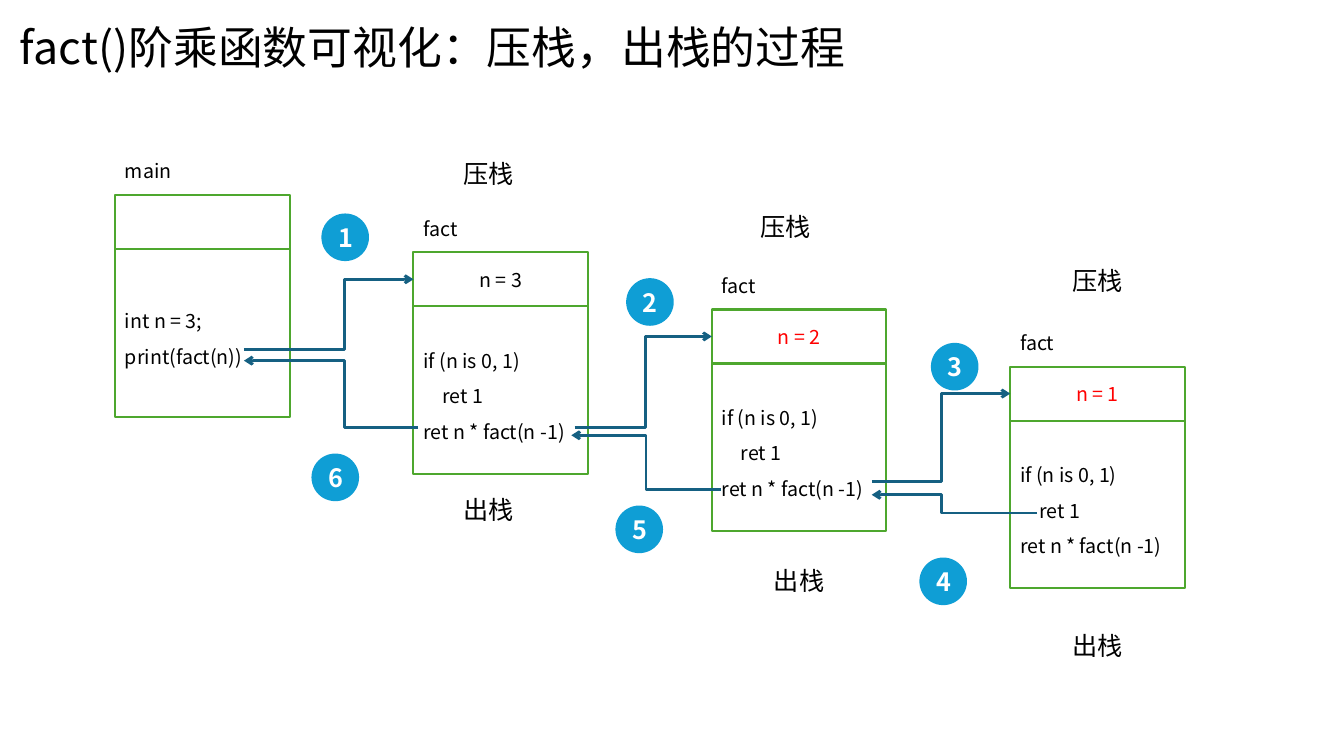
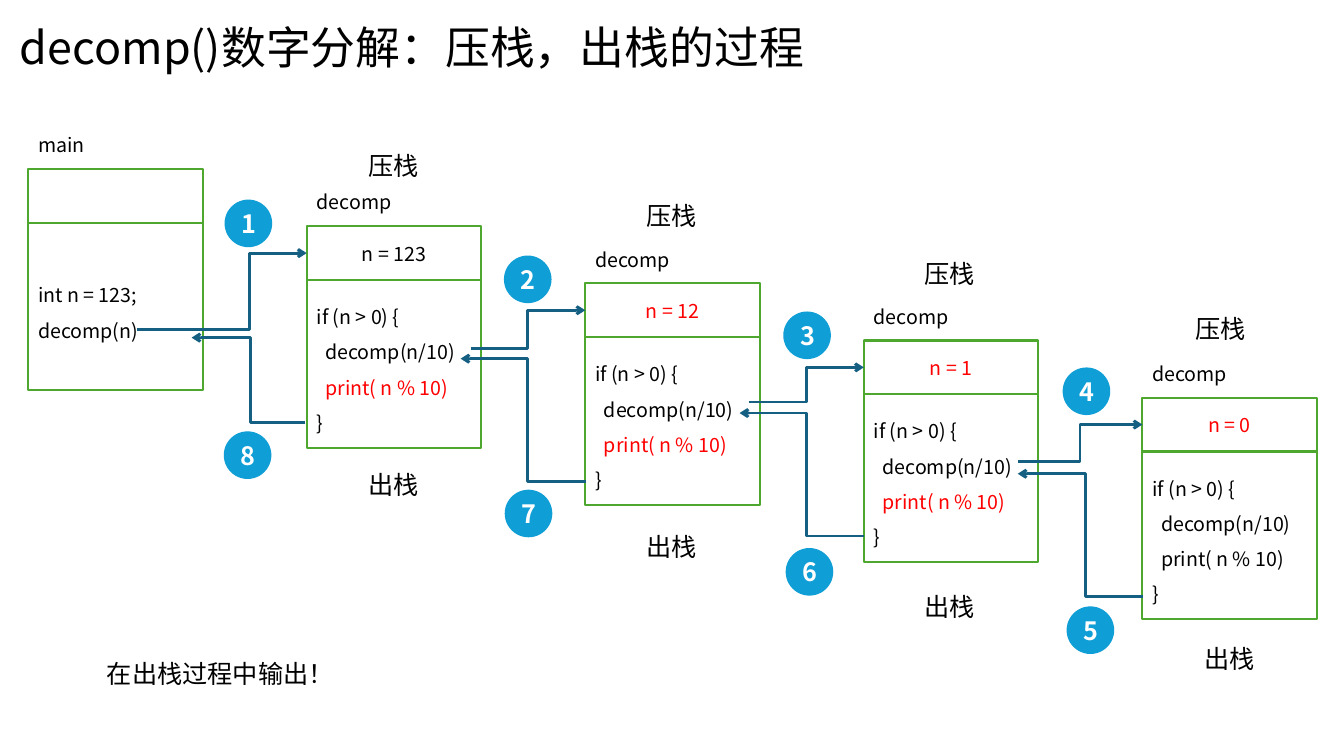
from lxml import etree
from pptx import Presentation
from pptx.dml.color import RGBColor
from pptx.enum.shapes import MSO_CONNECTOR, MSO_SHAPE
from pptx.enum.text import MSO_ANCHOR, MSO_AUTO_SIZE, PP_ALIGN
from pptx.oxml.ns import qn
from pptx.util import Cm, Pt

ELBOW = MSO_CONNECTOR.ELBOW
RECT, OVAL = MSO_SHAPE.RECTANGLE, MSO_SHAPE.OVAL
TOP, MIDDLE = MSO_ANCHOR.TOP, MSO_ANCHOR.MIDDLE
LEFT, CENTER = PP_ALIGN.LEFT, PP_ALIGN.CENTER

FONT = "Noto Sans CJK SC"
COLORS = {
    "text": "000000",
    "changed": "FF0000",
    "paper": "FFFFFF",
    "frame": "4EA72E",
    "link": "156082",
    "badge": "0F9ED5",
}

# All lengths are in centimetres.
FRAME_W, HEADER_H, BODY_H = 4.4, 1.36, 4.22
FRAME_DROP = 1.44
LABEL_RISE, LABEL_H = 1.03, 0.86
WORD_W, WORD_H = 2.4, 1.02
BADGE = 1.2

# A line of code: indent, text, colour.
FACT_CODE = [
    (0, "if (n is 0, 1)", "text"),
    (0.48, "ret 1", "text"),
    (0, "ret n * fact(n -1)", "text"),
]
DECOMP_END = [
    (0, "if (n > 0) {", "text"),
    (0.22, "decomp(n/10)", "text"),
    (0.22, "print( n % 10)", "text"),
    (0, "}", "text"),
]
DECOMP_CODE = [(indent, line, "changed" if "print" in line else color)
               for indent, line, color in DECOMP_END]

# frames: name, argument, argument colour, code
# pushes: start x, start y, bend x (each ends at the next frame's header)
# pops: start x, start y, bend x, end x, end y
# words: centre x, top
# badges: left, top, step right, step down
STACKS = [
    {
        "title": "fact()阶乘函数可视化：压栈，出栈的过程",
        "origin": (2.9, 4.92),
        "frame_step": 7.52,
        "frames": [
            ("main", "", "text", [(0, "int n = 3;", "text"), (0, "print(fact(n))", "text")]),
            ("fact", "n = 3", "text", FACT_CODE),
            ("fact", "n = 2", "changed", FACT_CODE),
            ("fact", "n = 1", "changed", FACT_CODE),
        ],
        "pushes": [(6.15, 8.81, 8.69), (14.48, 10.77, 16.26), (21.97, 12.14, 23.72)],
        "pops": [
            (10.54, 10.77, 8.69, 6.15, 9.09),
            (18.16, 12.34, 16.28, 14.4, 10.97),
            (26.14, 12.93, 23.72, 21.97, 12.47),
        ],
        "push_words": [(12.32, 3.86), (19.79, 5.21), (27.66, 6.55)],
        "pop_words": [(12.32, 12.34), (20.14, 14.12), (27.66, 15.75)],
        "push_badges": (8.1, 5.38, 7.68, 1.63),
        "pop_badges": (7.85, 11.43, 7.66, 1.31),
        "remark": "",
    },
    {
        "title": "decomp()数字分解：压栈，出栈的过程",
        "origin": (0.71, 4.26),
        "frame_step": 7.02,
        "frames": [
            ("main", "", "text", [(0, "int n = 123;", "text"), (0, "decomp(n)", "text")]),
            ("decomp", "n = 123", "text", DECOMP_CODE),
            ("decomp", "n = 12", "changed", DECOMP_CODE),
            ("decomp", "n = 1", "changed", DECOMP_CODE),
            ("decomp", "n = 0", "changed", DECOMP_END),
        ],
        "pushes": [
            (3.45, 8.31, 6.28),
            (11.86, 8.79, 13.3),
            (18.87, 10.13, 20.32),
            (25.65, 11.63, 27.22),
        ],
        "pops": [
            (7.7, 10.64, 6.32, 4.83, 8.51),
            (14.76, 12.14, 13.3, 11.61, 9.04),
            (21.77, 13.51, 20.32, 18.64, 10.41),
            (28.8, 15.04, 27.36, 25.65, 11.94),
        ],
        "push_words": [(9.92, 3.66), (16.93, 4.93), (23.94, 6.38), (30.77, 7.77)],
        "pop_words": [(9.92, 11.71), (16.93, 13.26), (23.94, 14.78), (30.98, 16.08)],
        "push_badges": (5.66, 5.03, 7.04, 1.41),
        "pop_badges": (5.64, 10.87, 7.08, 1.47),
        "remark": "在出栈过程中输出！",
    },
]


def write(shape, lines, size, align=LEFT, anchor=TOP, spacing=1.0, bold=False):
    """Fill a shape with (indent, text, colour) lines, one paragraph each."""
    frame = shape.text_frame
    frame.word_wrap = True
    frame.auto_size = MSO_AUTO_SIZE.NONE
    frame.vertical_anchor = anchor
    for number, (indent, line, color) in enumerate(lines):
        paragraph = frame.add_paragraph() if number else frame.paragraphs[0]
        paragraph.text = line
        paragraph.alignment = align
        paragraph.line_spacing = spacing
        if indent:
            paragraph._p.get_or_add_pPr().set("marL", str(Cm(indent)))
        font = paragraph.font
        font.size = Pt(size)
        font.bold = bold
        font.color.rgb = RGBColor.from_string(COLORS[color])
        font.name = FONT
        etree.SubElement(font._rPr, qn("a:ea"), typeface=FONT)


def add_filled(shapes, preset, left, top, width, height, fill, line=None):
    shape = shapes.add_shape(preset, Cm(left), Cm(top), Cm(width), Cm(height))
    shape.shadow.inherit = False
    shape.fill.solid()
    shape.fill.fore_color.rgb = RGBColor.from_string(COLORS[fill])
    if line:
        shape.line.color.rgb = RGBColor.from_string(COLORS[line])
        shape.line.width = Pt(1.5)
    else:
        shape.line.fill.background()
    return shape


prs = Presentation()
prs.slide_width, prs.slide_height = Cm(33.87), Cm(19.05)
title_only = prs.slide_layouts[5]

for stack in STACKS:
    slide = prs.slides.add_slide(title_only)
    title = slide.shapes.title
    title.left, title.top, title.width, title.height = Cm(0.25), Cm(0.38), Cm(21.54), Cm(1.62)
    write(title, [(0, stack["title"], "text")], 32)

    # Stack frames descend from left to right.
    origin_x, origin_y = stack["origin"]
    header_ports = []
    for depth, (name, argument, color, code) in enumerate(stack["frames"]):
        left = origin_x + depth * stack["frame_step"]
        top = origin_y + depth * FRAME_DROP
        parts = slide.shapes.add_group_shape().shapes
        header = add_filled(parts, RECT, left, top, FRAME_W, HEADER_H, "paper", "frame")
        if argument:
            write(header, [(0, argument, color)], 14, CENTER, MIDDLE)
        body = add_filled(parts, RECT, left, top + HEADER_H, FRAME_W, BODY_H, "paper", "frame")
        write(body, code, 14, LEFT, MIDDLE, 1.5)
        label = parts.add_textbox(Cm(left), Cm(top - LABEL_RISE), Cm(FRAME_W), Cm(LABEL_H))
        write(label, [(0, name, "text")], 14)
        header_ports.append((left, top + HEADER_H / 2))

    # Calls lead into the next header, returns lead back to the caller.
    calls = [push + port for push, port in zip(stack["pushes"], header_ports[1:])]
    for x1, y1, bend, x2, y2 in calls + stack["pops"]:
        link = slide.shapes.add_connector(ELBOW, Cm(x1), Cm(y1), Cm(x2), Cm(y2))
        link.line.color.rgb = RGBColor.from_string(COLORS["link"])
        link.line.width = Pt(2)
        etree.SubElement(link.line._get_or_add_ln(), qn("a:tailEnd"), type="arrow")
        properties = link._element.spPr
        etree.SubElement(properties, qn("a:effectLst"))
        bend_share = round((bend - x1) / (x2 - x1) * 100000)
        adjustments = properties.find(qn("a:prstGeom")).find(qn("a:avLst"))
        etree.SubElement(adjustments, qn("a:gd"), name="adj1", fmla=f"val {bend_share}")

    notes = [("压栈", WORD_W, *place) for place in stack["push_words"]]
    notes += [("出栈", WORD_W, *place) for place in stack["pop_words"]]
    if stack["remark"]:
        notes.append((stack["remark"], 7, 5.55, 16.46))
    for words, width, center, top in notes:
        note = slide.shapes.add_textbox(Cm(center - width / 2), Cm(top), Cm(width), Cm(WORD_H))
        write(note, [(0, words, "text")], 18, CENTER)

    # Steps count up through the calls and back through the returns.
    call_count = len(calls)
    for step in range(1, 2 * call_count + 1):
        if step <= call_count:
            left, top, right, down = stack["push_badges"]
            depth = step - 1
        else:
            left, top, right, down = stack["pop_badges"]
            depth = 2 * call_count - step
        badge = add_filled(slide.shapes, OVAL, left + depth * right, top + depth * down,
                           BADGE, BADGE, "badge")
        write(badge, [(0, str(step), "paper")], 18, CENTER, MIDDLE, bold=True)

prs.save("out.pptx")
